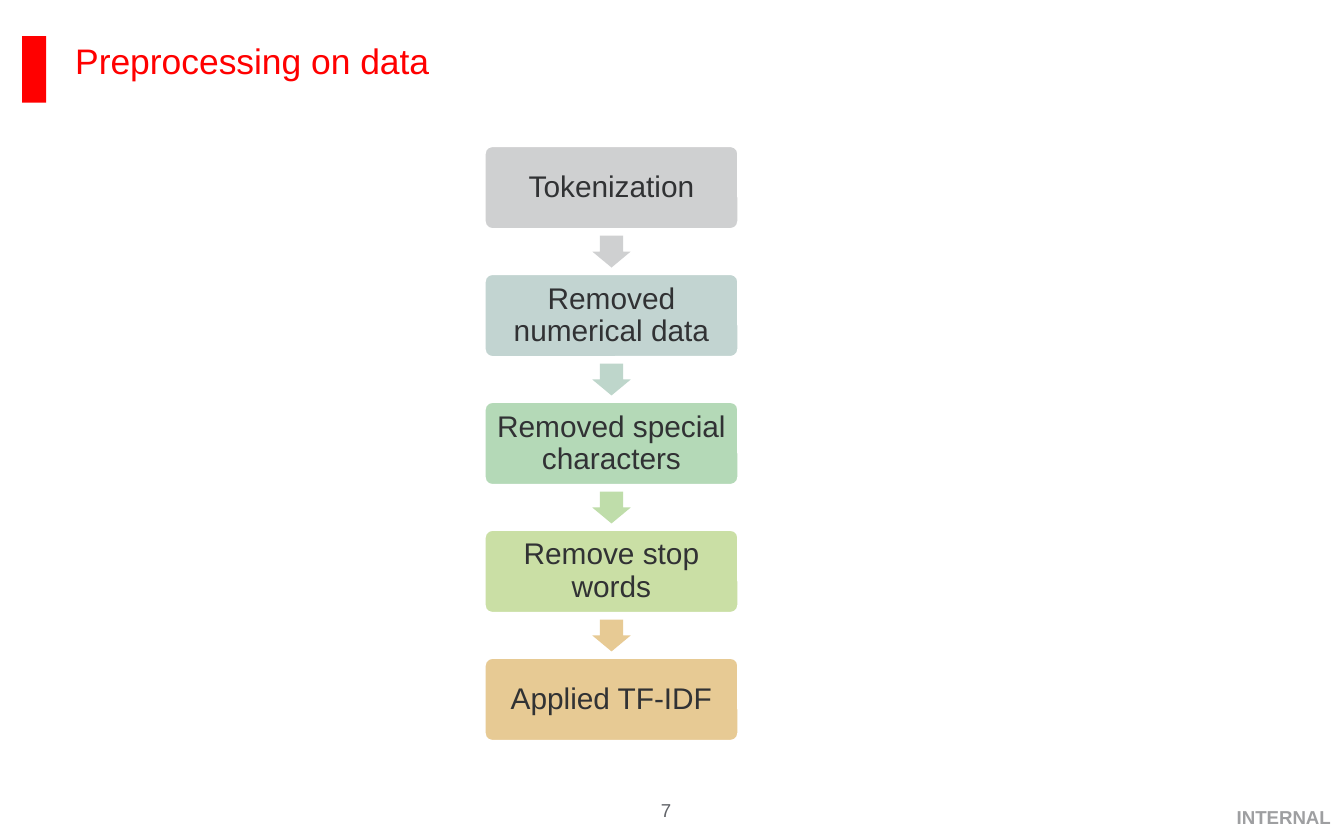
import pptx
import pptx.util
import pptx.dml.color
import pptx.enum.shapes
import pptx.enum.text

Pt = pptx.util.Pt
Shape = pptx.enum.shapes.MSO_SHAPE
Align = pptx.enum.text.PP_ALIGN
Anchor = pptx.enum.text.MSO_ANCHOR
Fit = pptx.enum.text.MSO_AUTO_SIZE


def paint(form, color):
    form.solid() if hasattr(form, "solid") else None
    target = form.fore_color if hasattr(form, "fore_color") else form.color
    target.rgb = pptx.dml.color.RGBColor.from_string(color)


def write(shape, text, size, color, align, anchor, pads, bold=False):
    frame = shape.text_frame
    frame.auto_size = Fit.NONE
    frame.word_wrap = True
    frame.vertical_anchor = anchor
    frame.margin_left, frame.margin_top, frame.margin_right, frame.margin_bottom = map(Pt, pads)
    para = frame.paragraphs[0]
    para.alignment = align
    para.line_spacing = 0.9
    run = para.add_run()
    run.text = text
    run.font.name = "Arial"
    run.font.size = Pt(size)
    run.font.bold = bold
    paint(run.font, color)


deck = pptx.Presentation()
deck.slide_width = Pt(720)
deck.slide_height = Pt(450)
slide = deck.slides.add_slide(deck.slide_layouts[5])
shapes = slide.shapes

title = shapes.title
title.left, title.top, title.width, title.height = map(Pt, (40.3, 9.4, 649.4, 36))
write(title, "Preprocessing on data", 19, "FF0000", Align.LEFT, Anchor.BOTTOM, (0, 3.6, 0, 1.4))

bar = shapes.add_shape(Shape.RECTANGLE, Pt(11.8), Pt(19.3), Pt(12.9), Pt(35.7))
bar.shadow.inherit = False
paint(bar.fill, "FF0000")
bar.line.fill.background()

number = shapes.add_textbox(Pt(350.5), Pt(428.4), Pt(12.5), Pt(12.2))
write(number, "7", 10, "626469", Align.CENTER, Anchor.MIDDLE, (0, 0, 0, 0))

label = shapes.add_textbox(Pt(491.8), Pt(426.4), Pt(228.2), Pt(23.8))
write(label, "INTERNAL", 10, "9E9FA1", Align.RIGHT, Anchor.MIDDLE, (7.2, 3.6, 7.2, 3.6), True)

steps = [
    ("Tokenization", "CFD0D1", "CFD0D1"),
    ("Removed numerical data", "C2D4D1", "BED6CB"),
    ("Removed special characters", "B4D9B7", "BFDDAA"),
    ("Remove stop words", "CADFA5", "E7CA94"),
    ("Applied TF-IDF", "E7CA94", None),
]
mid, top, pitch = 327.6, 77.8, 68.55
wide, high = 136.8, 45.4
long, span = 17.1, 20.6

for i, (text, color, next_color) in enumerate(steps):
    y = top + i * pitch
    box = shapes.add_shape(Shape.ROUNDED_RECTANGLE, Pt(mid - wide / 2), Pt(y), Pt(wide), Pt(high))
    box.adjustments[0] = 0.1
    box.shadow.inherit = False
    paint(box.fill, color)
    paint(box.line, "FFFFFF")
    box.line.width = Pt(2)
    write(box, text, 16, "313234", Align.CENTER, Anchor.MIDDLE, (5, 5, 5, 5))
    if next_color:
        center = y + (high + pitch) / 2
        arrow = shapes.add_shape(Shape.RIGHT_ARROW, Pt(mid - long / 2), Pt(center - span / 2), Pt(long), Pt(span))
        arrow.rotation = 90
        arrow.adjustments[0] = 0.6
        arrow.adjustments[1] = 0.5
        arrow.shadow.inherit = False
        paint(arrow.fill, next_color)
        arrow.line.fill.background()

deck.save("out.pptx")
